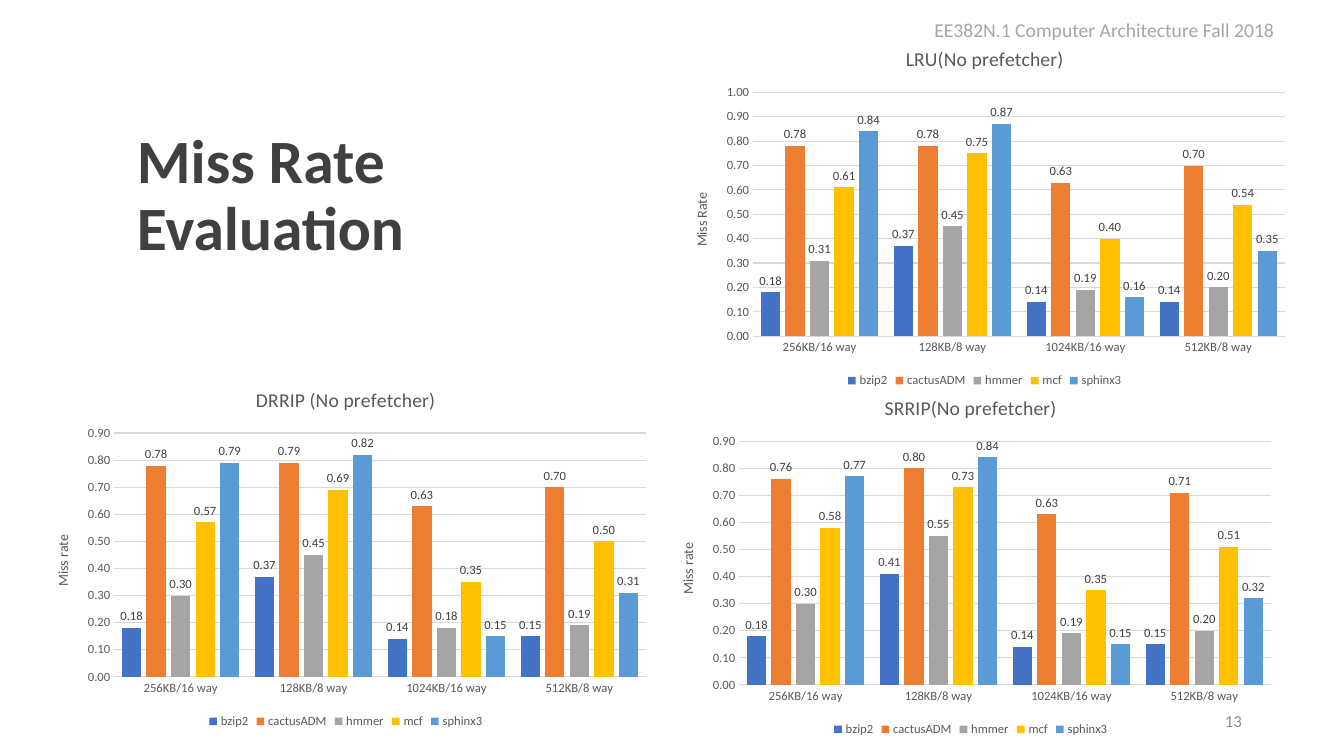
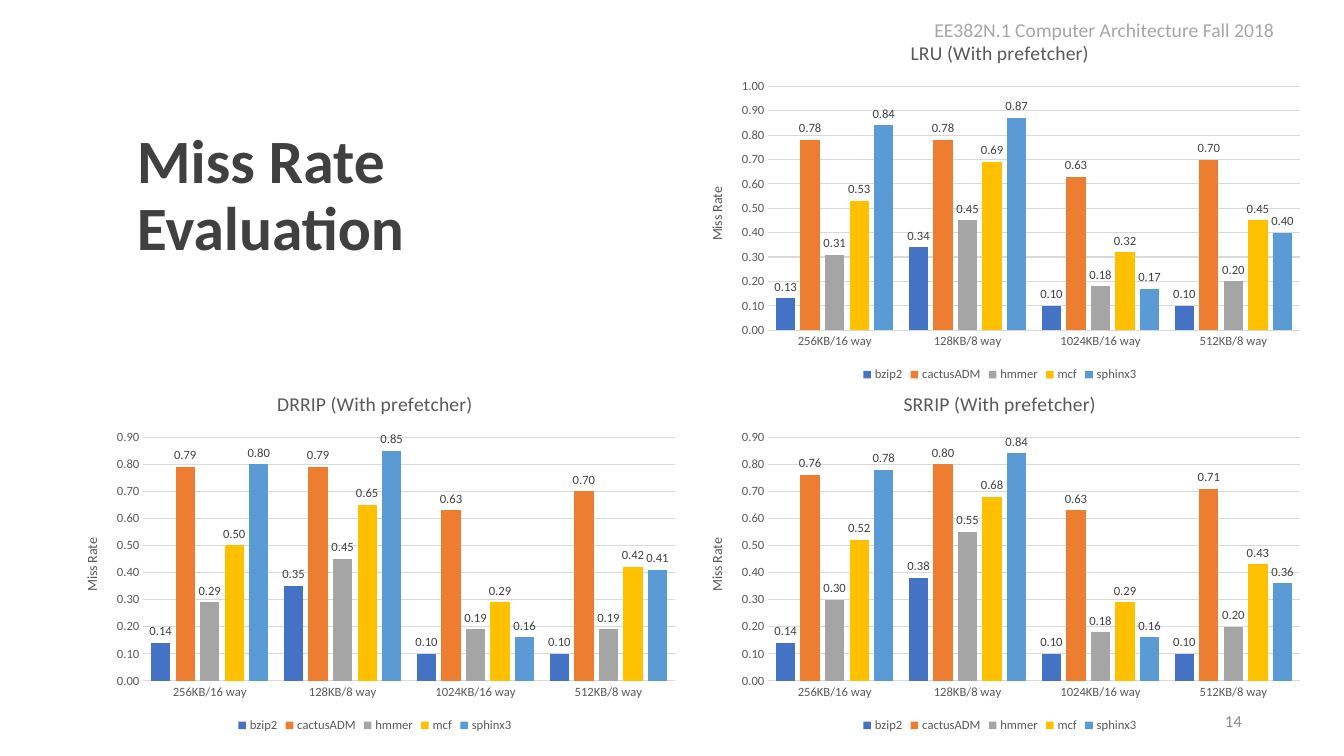
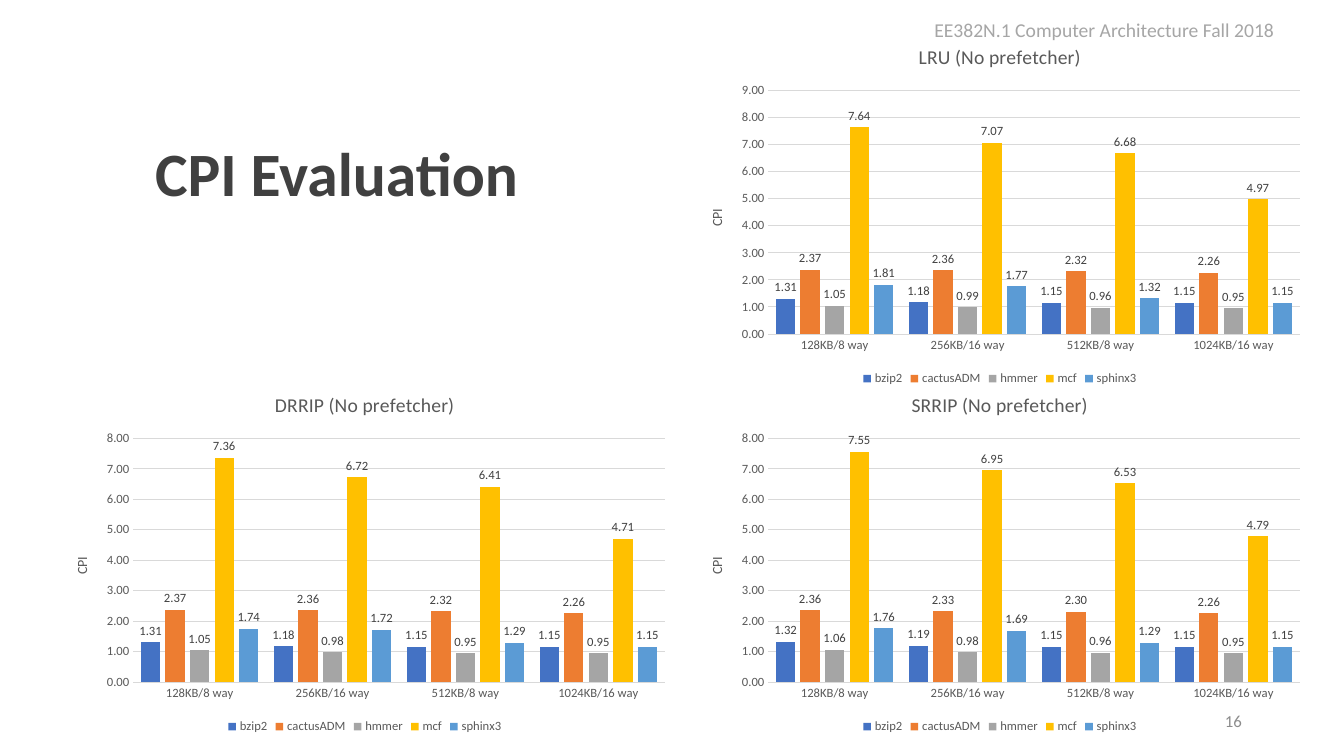
from math import ceil

from pptx import Presentation
from pptx.chart.data import CategoryChartData
from pptx.dml.color import RGBColor
from pptx.enum.chart import XL_CHART_TYPE, XL_LABEL_POSITION, XL_LEGEND_POSITION, XL_TICK_MARK
from pptx.enum.text import MSO_ANCHOR, PP_ALIGN
from pptx.util import Pt

# Shared style
FONT = "Calibri"
TITLE_COLOR = LABEL_COLOR = "404040"
HEADER_COLOR = "A6A6A6"
NUMBER_COLOR = "8C8C8C"
CHART_TEXT = "595959"
LINE_COLOR = "D9D9D9"
SERIES_COLORS = {
    "bzip2": "4472C4",
    "cactusADM": "ED7D31",
    "hmmer": "A5A5A5",
    "mcf": "FFC000",
    "sphinx3": "5B9BD5",
}
NUMBER_FORMAT = "0.00"
# Columns stand far enough apart for each label to fit above its own column
GAP_WIDTH = 80
OVERLAP = -27

# Shared geometry, in points: left, top, width, height
HEADER_BOX = (660.24, 9.36, 265, 24.5)
NUMBER_BOX = (678.24, 500.4, 216, 28.8)
MISS_TITLE_BOX = (90.7, 88.56, 379.4, 104.4)
CPI_TITLE_BOX = (103.7, 74.2, 828, 104.4)
CHART_SIZE = (446.4, 259.2)

MISS_CATEGORIES = ["256KB/16 way", "128KB/8 way", "1024KB/16 way", "512KB/8 way"]
CPI_CATEGORIES = ["128KB/8 way", "256KB/16 way", "512KB/8 way", "1024KB/16 way"]

# Each chart: title, value axis title, position, one row of values per series
SLIDES = [
    {
        "number": "13", "title": "Miss Rate Evaluation", "title_box": MISS_TITLE_BOX,
        "categories": MISS_CATEGORIES, "unit": 0.1,
        "charts": [
            ("DRRIP (No prefetcher)", "Miss rate", (23.8, 264.2), [
                (0.18, 0.37, 0.14, 0.15), (0.78, 0.79, 0.63, 0.70), (0.30, 0.45, 0.18, 0.19),
                (0.57, 0.69, 0.35, 0.50), (0.79, 0.82, 0.15, 0.31)]),
            ("SRRIP(No prefetcher)", "Miss rate", (470.2, 270), [
                (0.18, 0.41, 0.14, 0.15), (0.76, 0.80, 0.63, 0.71), (0.30, 0.55, 0.19, 0.20),
                (0.58, 0.73, 0.35, 0.51), (0.77, 0.84, 0.15, 0.32)]),
            ("LRU(No prefetcher)", "Miss Rate", (480.2, 20.9), [
                (0.18, 0.37, 0.14, 0.14), (0.78, 0.78, 0.63, 0.70), (0.31, 0.45, 0.19, 0.20),
                (0.61, 0.75, 0.40, 0.54), (0.84, 0.87, 0.16, 0.35)]),
        ],
    },
    {
        "number": "14", "title": "Miss Rate Evaluation", "title_box": MISS_TITLE_BOX,
        "categories": MISS_CATEGORIES, "unit": 0.1,
        "charts": [
            ("DRRIP (With prefetcher)", "Miss Rate", (44.6, 267.1), [
                (0.14, 0.35, 0.10, 0.10), (0.79, 0.79, 0.63, 0.70), (0.29, 0.45, 0.19, 0.19),
                (0.50, 0.65, 0.29, 0.42), (0.80, 0.85, 0.16, 0.41)]),
            ("SRRIP (With prefetcher)", "Miss Rate", (491, 267.1), [
                (0.14, 0.38, 0.10, 0.10), (0.76, 0.80, 0.63, 0.71), (0.30, 0.55, 0.18, 0.20),
                (0.52, 0.68, 0.29, 0.43), (0.78, 0.84, 0.16, 0.36)]),
            ("LRU (With prefetcher)", "Miss Rate", (491, 16.6), [
                (0.13, 0.34, 0.10, 0.10), (0.78, 0.78, 0.63, 0.70), (0.31, 0.45, 0.18, 0.20),
                (0.53, 0.69, 0.32, 0.45), (0.84, 0.87, 0.17, 0.40)]),
        ],
    },
    {
        "number": "16", "title": "CPI Evaluation", "title_box": CPI_TITLE_BOX,
        "categories": CPI_CATEGORIES, "unit": 1,
        "charts": [
            ("SRRIP (No prefetcher)", "CPI", (491, 268), [
                (1.32, 1.19, 1.15, 1.15), (2.36, 2.33, 2.30, 2.26), (1.06, 0.98, 0.96, 0.95),
                (7.55, 6.95, 6.53, 4.79), (1.76, 1.69, 1.29, 1.15)]),
            ("DRRIP (No prefetcher)", "CPI", (37.4, 268), [
                (1.31, 1.18, 1.15, 1.15), (2.37, 2.36, 2.32, 2.26), (1.05, 0.98, 0.95, 0.95),
                (7.36, 6.72, 6.41, 4.71), (1.74, 1.72, 1.29, 1.15)]),
            ("LRU (No prefetcher)", "CPI", (491, 19.4), [
                (1.31, 1.18, 1.15, 1.15), (2.37, 2.36, 2.32, 2.26), (1.05, 0.99, 0.96, 0.95),
                (7.64, 7.07, 6.68, 4.97), (1.81, 1.77, 1.32, 1.15)]),
        ],
    },
]


def rgb(color):
    return RGBColor.from_string(color)


def style_font(font, size, color, bold=False):
    font.name = FONT
    font.size = Pt(size)
    font.bold = bold
    font.color.rgb = rgb(color)


def style_line(line, color):
    line.color.rgb = rgb(color)
    line.width = Pt(0.75)


def add_text(slide, box, text, size, color, bold=False, align=PP_ALIGN.LEFT,
             anchor=MSO_ANCHOR.MIDDLE, line_spacing=None):
    shape = slide.shapes.add_textbox(*map(Pt, box))
    frame = shape.text_frame
    frame.word_wrap = True
    frame.vertical_anchor = anchor
    paragraph = frame.paragraphs[0]
    paragraph.alignment = align
    paragraph.line_spacing = line_spacing
    run = paragraph.add_run()
    run.text = text
    style_font(run.font, size, color, bold)


def set_heading(owner, text, size):
    """Title a chart or an axis."""
    owner.has_title = True
    title = owner.chart_title if hasattr(owner, "chart_title") else owner.axis_title
    run = title.text_frame.paragraphs[0].add_run()
    run.text = text
    style_font(run.font, size, CHART_TEXT)


def style_axis(axis):
    axis.major_tick_mark = axis.minor_tick_mark = XL_TICK_MARK.NONE
    style_font(axis.tick_labels.font, 9, CHART_TEXT)


def add_column_chart(slide, box, title, axis_title, categories, rows, unit):
    data = CategoryChartData(number_format=NUMBER_FORMAT)
    data.categories = categories
    for name, values in zip(SERIES_COLORS, rows):
        data.add_series(name, values)
    chart = slide.shapes.add_chart(
        XL_CHART_TYPE.COLUMN_CLUSTERED, *map(Pt, box), data).chart
    style_font(chart.font, 10, "000000")
    set_heading(chart, title, 14)
    chart.chart_title.include_in_layout = False

    # Legend
    chart.has_legend = True
    chart.legend.position = XL_LEGEND_POSITION.BOTTOM
    chart.legend.include_in_layout = False
    style_font(chart.legend.font, 9, CHART_TEXT)

    # Axes: the scale leaves at least 5% above the highest column
    style_axis(chart.category_axis)
    style_line(chart.category_axis.format.line, LINE_COLOR)
    value_axis = chart.value_axis
    style_axis(value_axis)
    set_heading(value_axis, axis_title, 10)
    value_axis.format.line.fill.background()
    style_line(value_axis.major_gridlines.format.line, LINE_COLOR)
    value_axis.tick_labels.number_format = NUMBER_FORMAT
    value_axis.tick_labels.number_format_is_linked = False
    value_axis.minimum_scale = 0
    value_axis.maximum_scale = round(ceil(max(map(max, rows)) * 1.05 / unit) * unit, 2)
    value_axis.major_unit = unit

    # Columns and their labels
    plot = chart.plots[0]
    plot.gap_width = GAP_WIDTH
    plot.overlap = OVERLAP
    plot.vary_by_categories = False
    for series, color in zip(plot.series, SERIES_COLORS.values()):
        series.format.fill.solid()
        series.format.fill.fore_color.rgb = rgb(color)
        series.invert_if_negative = False
        labels = series.data_labels
        labels.show_value = True
        labels.position = XL_LABEL_POSITION.OUTSIDE_END
        labels.number_format = NUMBER_FORMAT
        labels.number_format_is_linked = False
        style_font(labels.font, 9, LABEL_COLOR)


def add_evaluation_slide(presentation, content):
    slide = presentation.slides.add_slide(presentation.slide_layouts[6])
    add_text(slide, HEADER_BOX, "EE382N.1 Computer Architecture Fall 2018", 14,
             HEADER_COLOR, anchor=MSO_ANCHOR.TOP)
    add_text(slide, content["title_box"], content["title"], 44, TITLE_COLOR,
             bold=True, line_spacing=0.9)
    for title, axis_title, position, rows in content["charts"]:
        add_column_chart(slide, position + CHART_SIZE, title, axis_title,
                         content["categories"], rows, content["unit"])
    add_text(slide, NUMBER_BOX, content["number"], 12, NUMBER_COLOR, align=PP_ALIGN.RIGHT)


def main():
    presentation = Presentation()
    presentation.slide_width = Pt(960)
    presentation.slide_height = Pt(540)
    for content in SLIDES:
        add_evaluation_slide(presentation, content)
    presentation.save("out.pptx")


if __name__ == "__main__":
    main()
